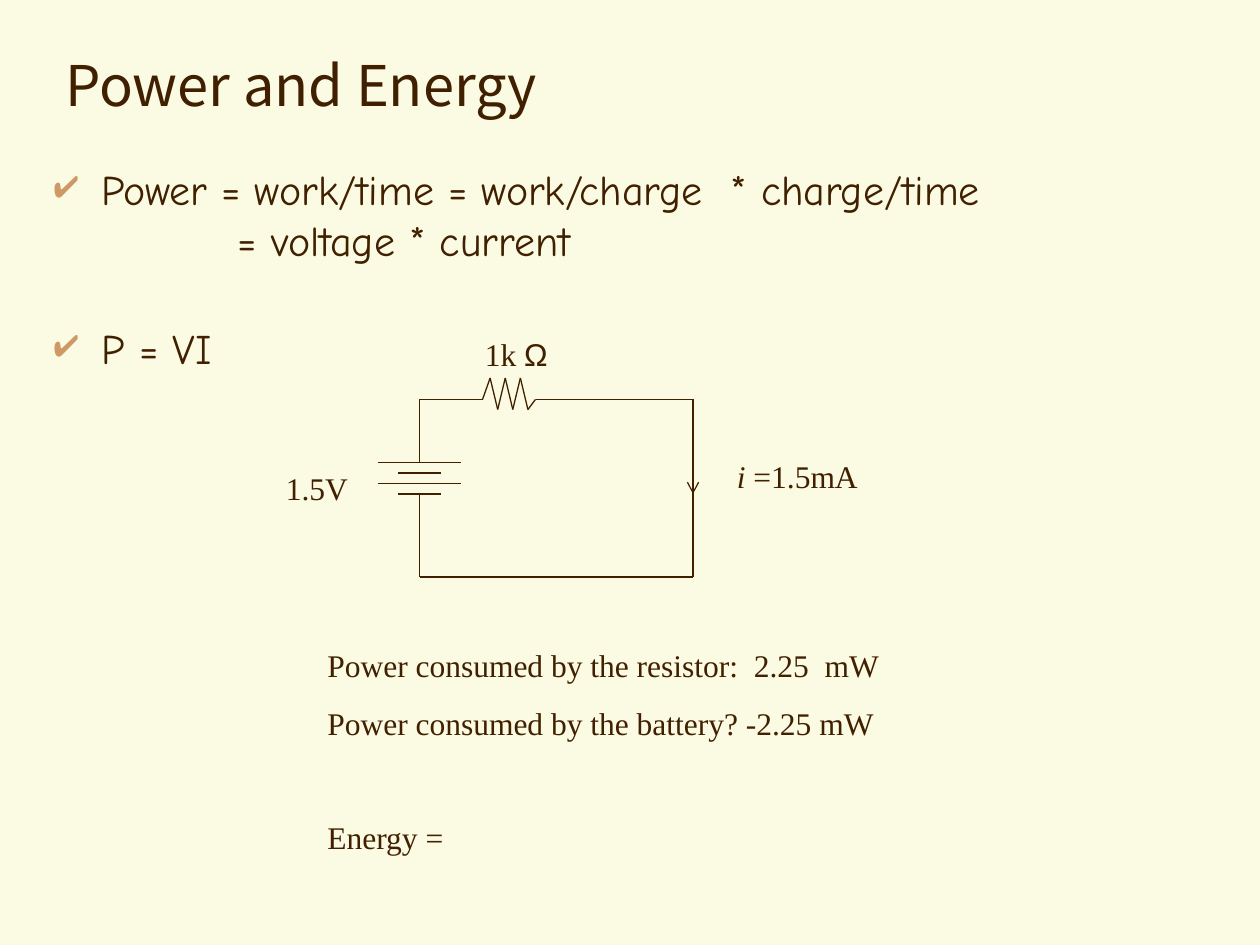
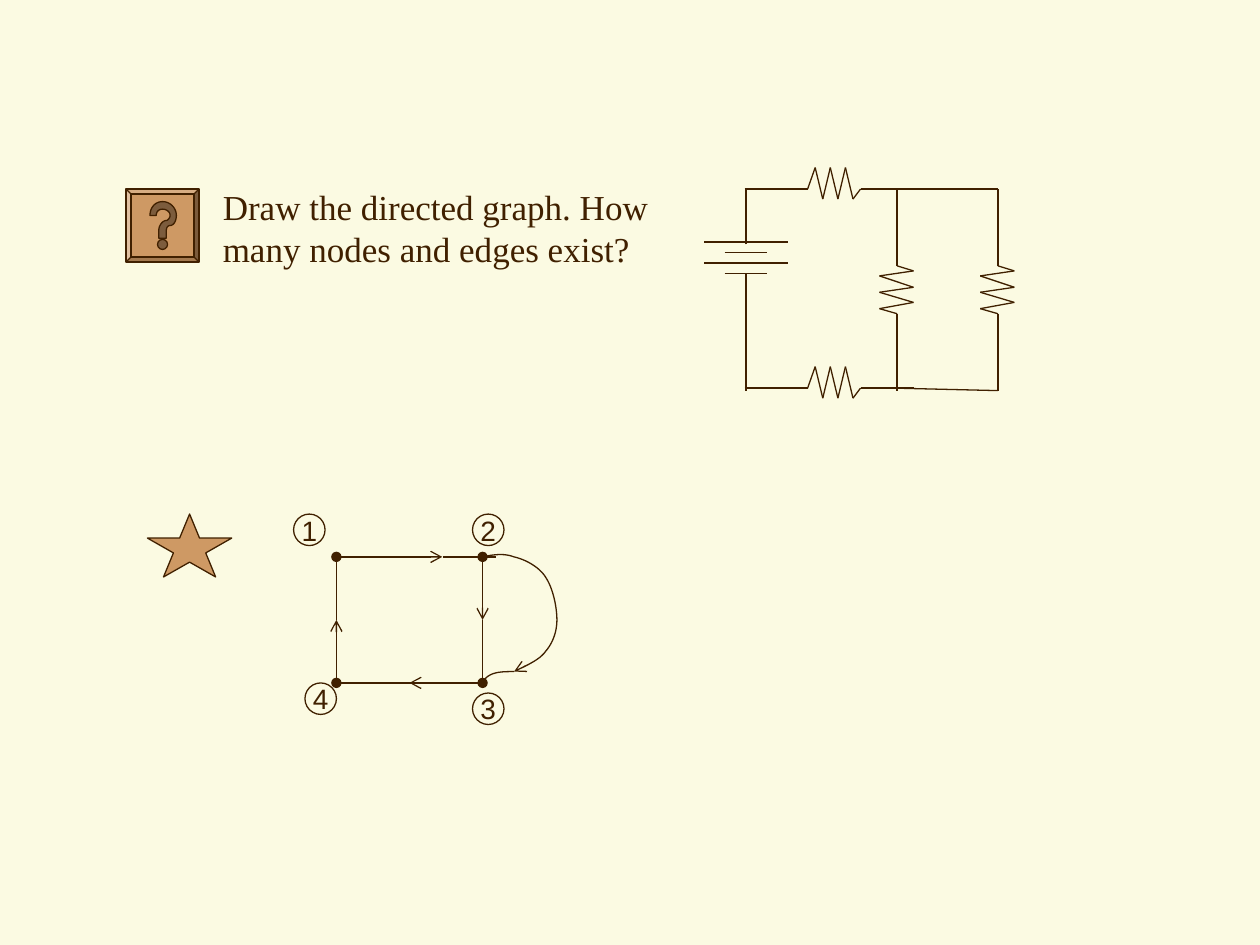
import pptx
import pptx.dml.color
import pptx.enum.shapes
import pptx.enum.text
import pptx.oxml
import pptx.oxml.ns
import pptx.util
from lxml import etree
from pptx.util import Inches

COLOURS = {"paper": "FBFAE2", "ink": "402000", "accent": "CE9964", "mark": "7C5C3D"}
COLOURS_RGB = {name: pptx.dml.color.RGBColor.from_string(value) for name, value in COLOURS.items()}
SERIF, SANS, HAND, HEADING = "Times New Roman", "Arial", "Comic Neue", "Noto Sans CJK KR"
LINE_WIDTH = pptx.util.Pt(0.75)
SHAPES = pptx.enum.shapes.MSO_SHAPE
qn = pptx.oxml.ns.qn


def wire(page, points, head=None, tail=None):
    """Join the points with straight lines, with optional line ends."""
    for start, end in zip(points, points[1:]):
        line = page.shapes.add_connector(
            pptx.enum.shapes.MSO_CONNECTOR.STRAIGHT, *map(Inches, start + end))
        line.line.color.rgb = COLOURS_RGB["ink"]
        line.line.width = LINE_WIDTH
        properties = line._element.spPr
        for tag, kind in (("a:headEnd", head), ("a:tailEnd", tail)):
            if kind:
                etree.SubElement(properties.find(qn("a:ln")), qn(tag), type=kind)
        etree.SubElement(properties, qn("a:effectLst"))


def outline(page, start, steps, fill=None):
    """Draw lines (x, y) and Bezier curves (six numbers); a fill closes the outline."""
    points = [start]
    for step in steps:
        if len(step) == 2:
            points.append(step)
            continue
        corners = [points[-1], step[:2], step[2:4], step[4:]]
        for count in range(1, 13):
            t = count / 12
            weights = ((1 - t) ** 3, 3 * t * (1 - t) ** 2, 3 * t * t * (1 - t), t ** 3)
            points.append(tuple(sum(w * c[axis] for w, c in zip(weights, corners))
                                for axis in (0, 1)))
    places = [(Inches(x), Inches(y)) for x, y in points]
    builder = page.shapes.build_freeform(*places[0])
    builder.add_line_segments(places[1:], close=bool(fill))
    shape = builder.convert_to_shape()
    shape.shadow.inherit = False
    shape.line.color.rgb = COLOURS_RGB["ink"]
    shape.line.width = LINE_WIDTH
    if fill:
        shape.fill.solid()
        shape.fill.fore_color.rgb = COLOURS_RGB[fill]
    else:
        shape.fill.background()
    return shape


deck = pptx.Presentation()
deck.slide_width, deck.slide_height = Inches(10), Inches(7.5)
background = deck.slide_master.background.fill
background.solid()
background.fore_color.rgb = COLOURS_RGB["paper"]
power_page, graph_page = [deck.slides.add_slide(deck.slide_layouts[6]) for _ in range(2)]

# Batteries: alternating long and short plates
for page, x, y in ((power_page, 3.33, 3.67), (graph_page, 5.92, 1.92)):
    for plate in range(4):
        half = 0.17 if plate % 2 else 0.33
        level = y + plate * 0.25 / 3
        wire(page, [(x - half, level), (x + half, level)])

# Horizontal resistors with their leads
for page, x, y in ((power_page, 3.83, 3.17), (graph_page, 6.41, 1.5), (graph_page, 6.41, 3.08)):
    rises = (0, -0.17, 0.08, -0.17, 0.08, -0.17, 0.08, 0)
    wire(page, [(x - 0.5, y)] + [(x + 0.06 * i, y + rise) for i, rise in enumerate(rises)]
         + [(x + 0.84, y)])

# Vertical resistors with their leads
zigzag = ((0, 0), (0.13, 0.04), (-0.14, 0.08), (0.13, 0.17), (-0.14, 0.21),
          (0.13, 0.29), (-0.14, 0.34), (0, 0.38))
for x in (7.12, 7.92):
    wire(graph_page, [(x, 1.5), (x, 1.94)] + [(x + dx, 2.11 + dy) for dx, dy in zigzag]
         + [(x, 2.66), (x, 3.1)])

# Remaining circuit wires
wire(power_page, [(3.33, 3.17), (3.33, 3.67)])
wire(power_page, [(4.67, 3.17), (5.5, 3.17), (5.5, 4.58)])
wire(power_page, [(3.33, 3.92), (3.33, 4.58)])
wire(power_page, [(3.33, 4.58), (5.5, 4.58)])
wire(power_page, [(5.5, 3.42), (5.5, 3.92)], tail="arrow")
wire(graph_page, [(5.92, 1.94), (5.92, 1.5)])
wire(graph_page, [(5.92, 3.1), (5.92, 2.17)])
wire(graph_page, [(7.08, 1.5), (7.92, 1.5)])
wire(graph_page, [(7.08, 3.08), (7.92, 3.1)])

# Directed graph: edges with node dots
for start, end, head, tail in (
        ((2.67, 4.42), (3.51, 4.42), "oval", "arrow"),
        ((3.52, 4.42), (3.94, 4.42), None, None),
        ((3.83, 4.42), (3.83, 4.92), "oval", "arrow"),
        ((3.83, 4.92), (3.83, 5.42), None, "oval"),
        ((2.67, 4.42), (2.67, 4.92), None, None),
        ((2.67, 4.92), (2.67, 5.42), "arrow", "oval"),
        ((2.67, 5.42), (3.51, 5.42), None, None),
        ((3.25, 5.42), (3.84, 5.42), "arrow", None)):
    wire(graph_page, [start, end], head, tail)
curved_edge = outline(graph_page, (3.83, 4.42), [
    (3.92, 4.4, 4, 4.39, 4.08, 4.42), (4.17, 4.44, 4.28, 4.5, 4.33, 4.58),
    (4.39, 4.67, 4.42, 4.82, 4.42, 4.92), (4.42, 5.01, 4.39, 5.1, 4.33, 5.17),
    (4.28, 5.24, 4.18, 5.28, 4.08, 5.33)])
etree.SubElement(curved_edge._element.spPr.find(qn("a:ln")), qn("a:tailEnd"), type="arrow")
outline(graph_page, (4.08, 5.33), [(3.98, 5.33, 3.87, 5.33, 3.83, 5.42)])

# Preset shapes: question button with its dot, star, node labels
for kind, left, top, width, height, fill, label in (
        (SHAPES.BEVEL, 1, 1.5, 0.58, 0.58, "accent", ""),
        (SHAPES.OVAL, 1.25, 1.9, 0.08, 0.08, "mark", ""),
        (SHAPES.STAR_5_POINT, 1.17, 4.08, 0.67, 0.5, "accent", ""),
        (SHAPES.OVAL, 2.33, 4.08, 0.25, 0.25, None, "1"),
        (SHAPES.OVAL, 3.75, 4.08, 0.25, 0.25, None, "2"),
        (SHAPES.OVAL, 3.75, 5.5, 0.25, 0.25, None, "3"),
        (SHAPES.OVAL, 2.42, 5.42, 0.25, 0.25, None, "4")):
    shape = graph_page.shapes.add_shape(kind, *map(Inches, (left, top, width, height)))
    shape.shadow.inherit = False
    shape.line.color.rgb = COLOURS_RGB["ink"]
    shape.line.width = LINE_WIDTH
    if kind == SHAPES.BEVEL:
        shape.adjustments[0] = 0.07
    if fill:
        shape.fill.solid()
        shape.fill.fore_color.rgb = COLOURS_RGB[fill]
    else:
        shape.fill.background()
    if label:
        shape.text_frame.text = label
        shape.text_frame.word_wrap = False
        shape.text_frame.vertical_anchor = pptx.enum.text.MSO_ANCHOR.MIDDLE
        para = shape.text_frame.paragraphs[0]
        para.alignment = pptx.enum.text.PP_ALIGN.CENTER
        para.font.size = pptx.util.Pt(16)
        para.font.name = SANS
        para.font.color.rgb = COLOURS_RGB["ink"]

# Hook of the question mark
outline(graph_page, (1.32, 1.89), [
    (1.32, 1.83), (1.32, 1.81, 1.33, 1.79, 1.35, 1.79), (1.38, 1.79, 1.4, 1.75, 1.4, 1.71),
    (1.4, 1.65, 1.35, 1.6, 1.29, 1.6), (1.23, 1.6, 1.19, 1.65, 1.19, 1.71), (1.24, 1.71),
    (1.24, 1.68, 1.26, 1.66, 1.29, 1.66), (1.32, 1.66, 1.35, 1.68, 1.35, 1.71),
    (1.35, 1.73, 1.33, 1.75, 1.32, 1.75), (1.29, 1.75, 1.26, 1.79, 1.26, 1.83),
    (1.26, 1.89)], "mark")

# Text boxes: paragraphs are (space before, left margin, bulleted, spans)
for page, place, wrap, size, font, paragraphs in (
        (power_page, (0.42, 0.25, 9.17, 0.83), True, 32, HEADING,
         [(0, 0, False, ["Power and Energy"])]),
        (power_page, (0.33, 1.25, 9.25, 5.25), True, 24, HAND,
         [(6, 0.38, True, ["Power = work/time = work/charge  * charge/time"]),
          (0, 1.46, False, ["= voltage * current"]),
          (33, 0.38, True, ["P = VI"])]),
        (power_page, (2.17, 3.67, 0.69, 0.4), False, 18, SERIF, [(0, 0, False, ["1.5V"])]),
        (power_page, (3.75, 2.61, 0.7, 0.4), False, 18, SERIF, [(0, 0, False, ["1k ", "Ω"])]),
        (power_page, (5.75, 3.58, 1.16, 0.4), False, 18, SERIF,
         [(0, 0, False, ["i ", "=1.5mA"])]),
        (power_page, (2.5, 5.08, 5.75, 1.77), True, 18, SERIF,
         [(11.2, 0, False, ["Power consumed by the resistor:  2.25  mW"]),
          (11.2, 0, False, ["Power consumed by the battery? -2.25 mW"]),
          (44, 0, False, ["Energy ="])]),
        (graph_page, (1.67, 1.42, 4, 0.77), True, 20, SERIF,
         [(0, 0, False, ["Draw the directed graph. How many nodes and edges exist?"])])):
    box = page.shapes.add_textbox(*map(Inches, place))
    frame = box.text_frame
    frame.word_wrap = wrap
    if font == HEADING:
        frame.vertical_anchor = pptx.enum.text.MSO_ANCHOR.MIDDLE
    for index, (space, margin, bulleted, spans) in enumerate(paragraphs):
        para = frame.add_paragraph() if index else frame.paragraphs[0]
        para.space_before = pptx.util.Pt(space)
        properties = para._p.get_or_add_pPr()
        properties.set("marL", str(Inches(margin)))
        properties.set("indent", str(Inches(-margin if bulleted else 0)))
        if bulleted:
            colour = etree.SubElement(properties, qn("a:buClr"))
            etree.SubElement(colour, qn("a:srgbClr"), val=COLOURS["accent"])
            etree.SubElement(properties, qn("a:buSzPct"), val="90000")
            etree.SubElement(properties, qn("a:buChar"), char="✔")
        for words in spans:
            span = para.add_run()
            span.text = words
            span.font.size = pptx.util.Pt(size)
            span.font.name = SANS if words == "Ω" else font
            span.font.italic = words == "i "
            span.font.color.rgb = COLOURS_RGB["ink"]

deck.save("out.pptx")
